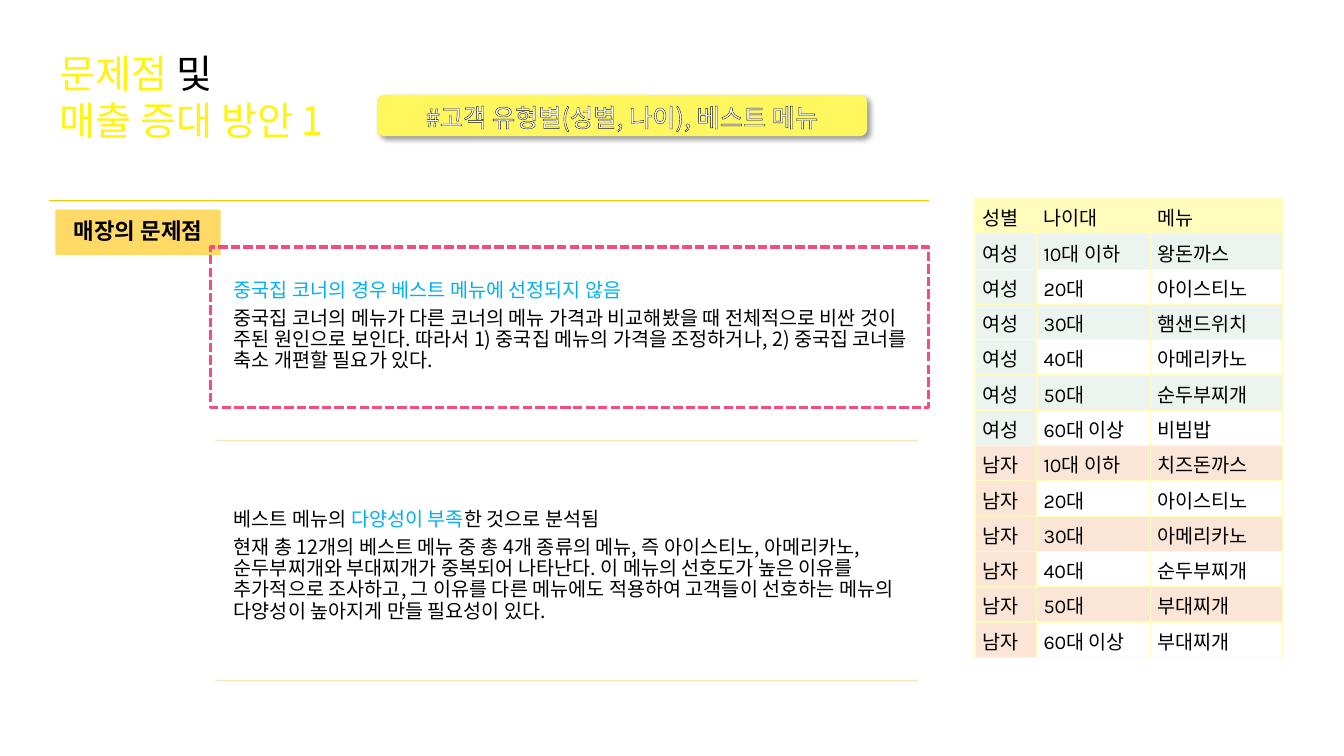
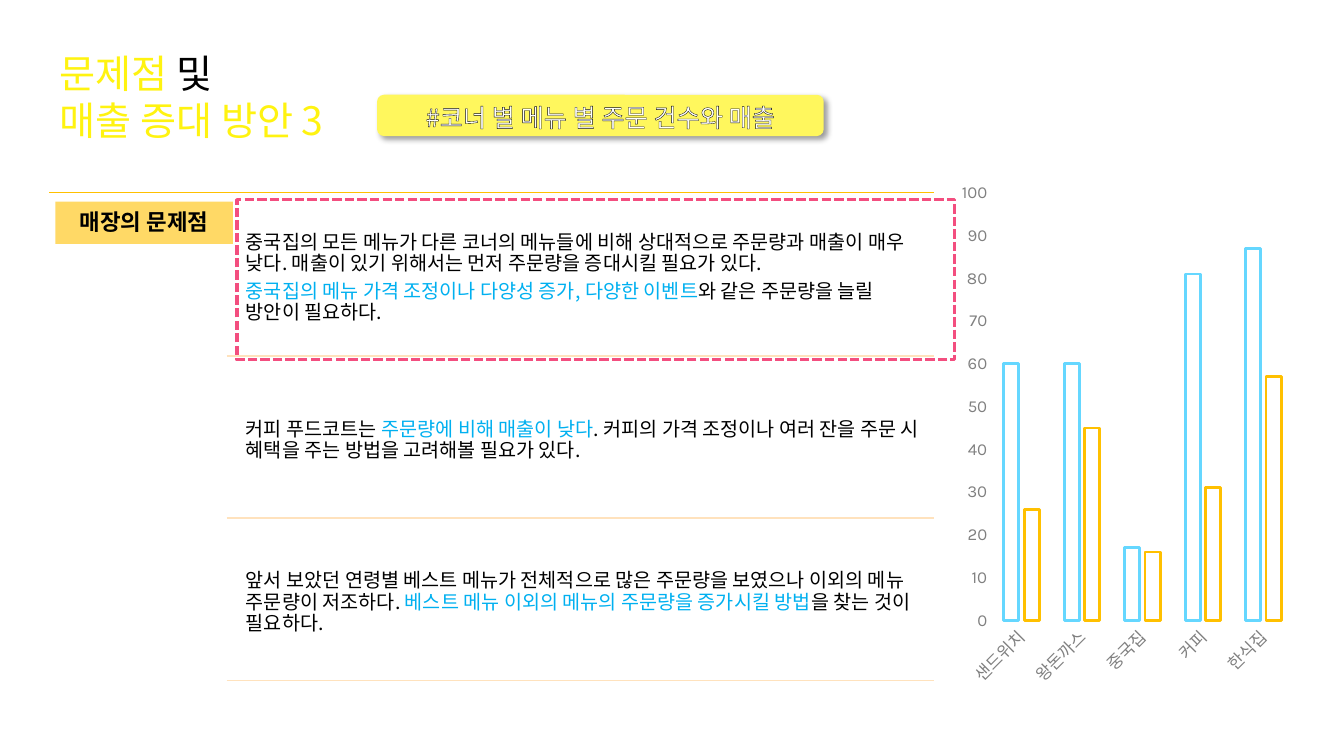
import lxml.etree
import pptx
import pptx.chart.data
import pptx.dml.color
import pptx.enum.chart
import pptx.enum.dml
import pptx.enum.shapes
import pptx.enum.text
import pptx.oxml.ns
import pptx.util

Inches = pptx.util.Inches
Pt = pptx.util.Pt
RGBColor = pptx.dml.color.RGBColor
qn = pptx.oxml.ns.qn
ALIGN = pptx.enum.text.PP_ALIGN
ANCHOR = pptx.enum.text.MSO_ANCHOR
SHAPE = pptx.enum.shapes.MSO_SHAPE

BLACK = RGBColor(0x00, 0x00, 0x00)
WHITE = RGBColor(0xFF, 0xFF, 0xFF)
GRAY = RGBColor(0x80, 0x80, 0x80)
OUTLINE = RGBColor(0x0D, 0x0D, 0x0D)
TITLE_YELLOW = RGBColor(0xFF, 0xF3, 0x10)
TAG_YELLOW = RGBColor(0xFF, 0xF7, 0x5D)
LABEL_YELLOW = RGBColor(0xFF, 0xD9, 0x66)
GOLD = RGBColor(0xFF, 0xC0, 0x00)
PEACH = RGBColor(0xFF, 0xE2, 0xBD)
BLUE = RGBColor(0x00, 0xB0, 0xF0)
SKY = RGBColor(0x65, 0xD7, 0xFF)
PINK = RGBColor(0xF3, 0x4E, 0x7F)
CREAM = RGBColor(0xFF, 0xFC, 0xBD)
MINT = RGBColor(0xEB, 0xF4, 0xEF)
SALMON = RGBColor(0xFB, 0xE5, 0xD6)
KOREAN_FONT = "Noto Sans CJK KR"
LATIN_FONT = "Karla"

AGES = ["10대 이하", "20대", "30대", "40대", "50대", "60대 이상"]
MENUS = {
    "여성": (MINT, ["왕돈까스", "아이스티노", "햄샌드위치", "아메리카노", "순두부찌개", "비빔밥"]),
    "남자": (SALMON, ["치즈돈까스", "아이스티노", "아메리카노", "순두부찌개", "부대찌개", "부대찌개"]),
}
MENU_FINDINGS = [
    [
        [("중국집 코너의 경우 베스트 메뉴에 선정되지 않음", BLUE)],
        [("중국집 코너의 메뉴가 다른 코너의 메뉴 가격과 비교해봤을 때 전체적으로 비싼 것이 주된 원인으로 보인다. "
          "따라서 1) 중국집 메뉴의 가격을 조정하거나, 2) 중국집 코너를 축소 개편할 필요가 있다.", BLACK)],
    ],
    [
        [("베스트 메뉴의 ", BLACK), ("다양성이 부족", BLUE), ("한 것으로 분석됨", BLACK)],
        [("현재 총 12개의 베스트 메뉴 중 총 4개 종류의 메뉴, 즉 아이스티노, 아메리카노, 순두부찌개와 부대찌개가 "
          "중복되어 나타난다. 이 메뉴의 선호도가 높은 이유를 추가적으로 조사하고, 그 이유를 다른 메뉴에도 적용하여 "
          "고객들이 선호하는 메뉴의 다양성이 높아지게 만들 필요성이 있다.", BLACK)],
    ],
]
ORDER_FINDINGS = [
    [
        [("중국집의 모든 메뉴가 다른 코너의 메뉴들에 비해 상대적으로 주문량과 매출이 매우 낮다. "
          "매출이 있기 위해서는 먼저 주문량을 증대시킬 필요가 있다.", BLACK)],
        [("중국집의 메뉴 가격 조정이나 다양성 증가, 다양한 이벤트", BLUE),
         ("와 같은 주문량을 늘릴 방안이 필요하다.", BLACK)],
    ],
    [
        [("커피 푸드코트는 ", BLACK), ("주문량에 비해 매출이 낮다", BLUE),
         (". 커피의 가격 조정이나 여러 잔을 주문 시 혜택을 주는 방법을 고려해볼 필요가 있다.", BLACK)],
    ],
    [
        [("앞서 보았던 연령별 베스트 메뉴가 전체적으로 많은 주문량을 보였으나 이외의 메뉴 주문량이 저조하다. ", BLACK),
         ("베스트 메뉴 이외의 메뉴의 주문량을 증가시킬 방법", BLUE), ("을 찾는 것이 필요하다.", BLACK)],
    ],
]


def set_attributes(target, values):
    """Set each named value on the target."""
    for name, value in values.items():
        setattr(target, name, value)


def add_fill_xml(parent, color):
    """Add a solid fill to an XML element and return its colour element."""
    fill = lxml.etree.SubElement(parent, qn("a:solidFill"))
    return lxml.etree.SubElement(fill, qn("a:srgbClr"), val=str(color))


def write_text(frame, paragraphs, font, layout, frame_values):
    """Write paragraphs of coloured runs into a text frame."""
    set_attributes(frame, {"word_wrap": True, **frame_values})
    for index, runs in enumerate(paragraphs):
        paragraph = frame.paragraphs[0] if index == 0 else frame.add_paragraph()
        set_attributes(paragraph, layout)
        for text, color in runs:
            run = paragraph.add_run()
            run.text = text
            set_attributes(run.font, font)
            run.font.color.rgb = color
            if font["name"] == KOREAN_FONT:
                lxml.etree.SubElement(run.font._element, qn("a:ea"), typeface=KOREAN_FONT)


def margins(side, top, bottom):
    """Return the inner margins of a text frame, in inches."""
    return {"margin_left": Inches(side), "margin_right": Inches(side),
            "margin_top": Inches(top), "margin_bottom": Inches(bottom)}


def add_box(slide, kind, left, top, width, height, color=None):
    """Add a borderless preset shape with an optional fill."""
    shape = slide.shapes.add_shape(kind, Inches(left), Inches(top), Inches(width), Inches(height))
    shape.shadow.inherit = False
    shape.line.fill.background()
    if color is None:
        shape.fill.background()
    else:
        shape.fill.solid()
        shape.fill.fore_color.rgb = color
    return shape


def add_rule(slide, left, right, top, color, weight):
    """Add a horizontal rule."""
    rule = slide.shapes.add_connector(pptx.enum.shapes.MSO_CONNECTOR.STRAIGHT,
                                      Inches(left), Inches(top), Inches(right), Inches(top))
    rule.line.color.rgb = color
    rule.line.width = Pt(weight)
    lxml.etree.SubElement(rule._element.spPr, qn("a:effectLst"))


def add_title(slide, number):
    """Fill the title placeholder with the numbered heading."""
    title = slide.shapes.title
    set_attributes(title, {"left": Inches(0.49), "top": Inches(0.44),
                           "width": Inches(3.65), "height": Inches(1.04)})
    write_text(title.text_frame,
               [[("문제점 ", TITLE_YELLOW), ("및", BLACK)], [(f"매출 증대 방안 {number}", TITLE_YELLOW)]],
               {"name": KOREAN_FONT, "size": Pt(28)}, {"alignment": ALIGN.LEFT},
               {"vertical_anchor": ANCHOR.TOP, "auto_size": pptx.enum.text.MSO_AUTO_SIZE.NONE})


def add_tag(slide, text, width):
    """Add the shadowed hashtag pill with outlined text."""
    tag = add_box(slide, SHAPE.ROUNDED_RECTANGLE, 3.74, 0.94, width, 0.41, TAG_YELLOW)
    shadow = lxml.etree.SubElement(tag._element.spPr.find(qn("a:effectLst")), qn("a:outerShdw"),
                                   blurRad=str(Pt(4)), dist=str(Pt(3)), dir="2700000", algn="tl")
    color = lxml.etree.SubElement(shadow, qn("a:srgbClr"), val=str(BLACK))
    lxml.etree.SubElement(color, qn("a:alpha"), val="40000")
    write_text(tag.text_frame, [[(text, WHITE)]], {"name": KOREAN_FONT, "size": Pt(18)},
               {"alignment": ALIGN.CENTER}, {"vertical_anchor": ANCHOR.MIDDLE, **margins(0.1, 0.03, 0)})
    properties = tag.text_frame.paragraphs[0].runs[0].font._element
    outline = lxml.etree.Element(qn("a:ln"), w=str(Pt(1)))
    add_fill_xml(outline, OUTLINE)
    properties.insert(0, outline)


def add_label(slide, top, width, height):
    """Add the section label."""
    label = add_box(slide, SHAPE.RECTANGLE, 0.55, top, width, height, LABEL_YELLOW)
    write_text(label.text_frame, [[("매장의 문제점", BLACK)]],
               {"name": KOREAN_FONT, "size": Pt(16), "bold": True},
               {"alignment": ALIGN.CENTER, "line_spacing": 0.9},
               {"vertical_anchor": ANCHOR.MIDDLE, **margins(0.07, 0.07, 0.07)})


def add_findings(slide, findings, left, right, top, height, pitch):
    """Stack findings at an equal pitch, each closed by a rule."""
    for index, paragraphs in enumerate(findings):
        box_top = top + index * pitch
        box = slide.shapes.add_textbox(Inches(left), Inches(box_top), Inches(6.87), Inches(height))
        write_text(box.text_frame, paragraphs, {"name": KOREAN_FONT, "size": Pt(14)},
                   {"line_spacing": 0.9, "space_after": Pt(5)},
                   {"vertical_anchor": ANCHOR.MIDDLE, **margins(0.06, 0.06, 0.06)})
        add_rule(slide, left - 0.13, right, box_top + height, PEACH, 1)


def add_highlight(slide, left, top):
    """Add the dashed frame around the key finding."""
    frame = add_box(slide, SHAPE.RECTANGLE, left, top, 7.12, 1.59)
    frame.line.color.rgb = PINK
    set_attributes(frame.line, {"width": Pt(2.25), "dash_style": pptx.enum.dml.MSO_LINE.SQUARE_DOT})


def format_cell(cell, text, color):
    """Write, border and fill one table cell."""
    write_text(cell.text_frame, [[(text, BLACK)]], {"name": LATIN_FONT, "size": Pt(14)},
               {"alignment": ALIGN.JUSTIFY, "line_spacing": 1.07, "space_after": Pt(8)}, {})
    set_attributes(cell, {"vertical_anchor": ANCHOR.MIDDLE, **margins(0.07, 0, 0)})
    properties = cell._tc.get_or_add_tcPr()
    for side in ("a:lnL", "a:lnR", "a:lnT", "a:lnB"):
        add_fill_xml(lxml.etree.SubElement(properties, qn(side), w=str(Pt(1))), CREAM)
    if color is None:
        cell.fill.background()
    else:
        cell.fill.solid()
        cell.fill.fore_color.rgb = color


def add_menu_table(slide):
    """Add the best menu table by gender and age."""
    rows = [(["성별", "나이대", "메뉴"], [CREAM] * 3)]
    for gender, (color, menus) in MENUS.items():
        for index, (age, menu) in enumerate(zip(AGES, menus)):
            band = color if index % 2 == 0 else None
            rows.append(([gender, age, menu], [color, band, band]))
    table = slide.shapes.add_table(len(rows), 3, Inches(9.67), Inches(1.97),
                                   Inches(3.05), Inches(4.55)).table
    set_attributes(table, {"first_row": False, "horz_banding": False})
    for column, width in zip(table.columns, (0.61, 1.13, 1.31)):
        column.width = Inches(width)
    for row, (texts, colors) in zip(table.rows, rows):
        row.height = Inches(0.35)
        for cell, text, color in zip(row.cells, texts, colors):
            format_cell(cell, text, color)


def add_order_chart(slide):
    """Add the outlined column chart by food corner."""
    data = pptx.chart.data.CategoryChartData()
    data.categories = ["샌드위치", "왕돈까스", "중국집", "커피", "한식집"]
    data.add_series("Series 1", (60, 60, 17, 81, 87))
    data.add_series("Series 2", (26, 45, 16, 31, 57))
    chart = slide.shapes.add_chart(pptx.enum.chart.XL_CHART_TYPE.COLUMN_CLUSTERED, Inches(9.47),
                                   Inches(1.71), Inches(3.43), Inches(5.2), data).chart
    set_attributes(chart, {"has_legend": False, "has_title": False})
    set_attributes(chart.font, {"name": LATIN_FONT, "size": Pt(10)})
    chart.font.color.rgb = BLACK
    set_attributes(chart.value_axis, {"minimum_scale": 0, "maximum_scale": 100, "major_unit": 10})
    for axis in (chart.category_axis, chart.value_axis):
        set_attributes(axis, {"has_major_gridlines": False,
                              "major_tick_mark": pptx.enum.chart.XL_TICK_MARK.NONE})
        axis.format.line.fill.background()
        set_attributes(axis.tick_labels.font, {"name": LATIN_FONT, "size": Pt(12)})
        axis.tick_labels.font.color.rgb = GRAY
    chart.category_axis._element.txPr.find(qn("a:bodyPr")).set("rot", "-2700000")
    plot = chart.plots[0]
    set_attributes(plot, {"gap_width": 164, "overlap": -35, "vary_by_categories": False})
    for series, color in zip(plot.series, (SKY, GOLD)):
        series.invert_if_negative = False
        series.format.fill.background()
        series.format.line.color.rgb = color
        series.format.line.width = Pt(2)


def start_slide(presentation, number):
    """Add a slide with its title."""
    slide = presentation.slides.add_slide(presentation.slide_layouts[5])
    add_title(slide, number)
    return slide


def main():
    """Build and save the presentation."""
    presentation = pptx.Presentation()
    set_attributes(presentation, {"slide_width": Inches(13.33), "slide_height": Inches(7.5)})

    slide = start_slide(presentation, 1)
    add_rule(slide, 0.49, 9.21, 1.99, GOLD, 0.5)
    add_label(slide, 2.08, 1.64, 0.45)
    add_findings(slide, MENU_FINDINGS, 2.26, 9.1, 2.1, 2.27, 2.38)
    add_menu_table(slide)
    add_tag(slide, "#고객 유형별(성별, 나이), 베스트 메뉴", 4.86)
    add_highlight(slide, 2.09, 2.45)

    slide = start_slide(presentation, 3)
    add_rule(slide, 0.49, 9.26, 1.91, GOLD, 0.5)
    add_label(slide, 2, 1.76, 0.42)
    add_findings(slide, ORDER_FINDINGS, 2.38, 9.26, 1.99, 1.54, 1.61)
    add_order_chart(slide)
    add_tag(slide, "#코너 별 메뉴 별 주문 건수와 매출", 4.43)
    add_highlight(slide, 2.35, 1.98)

    presentation.save("out.pptx")


if __name__ == "__main__":
    main()
